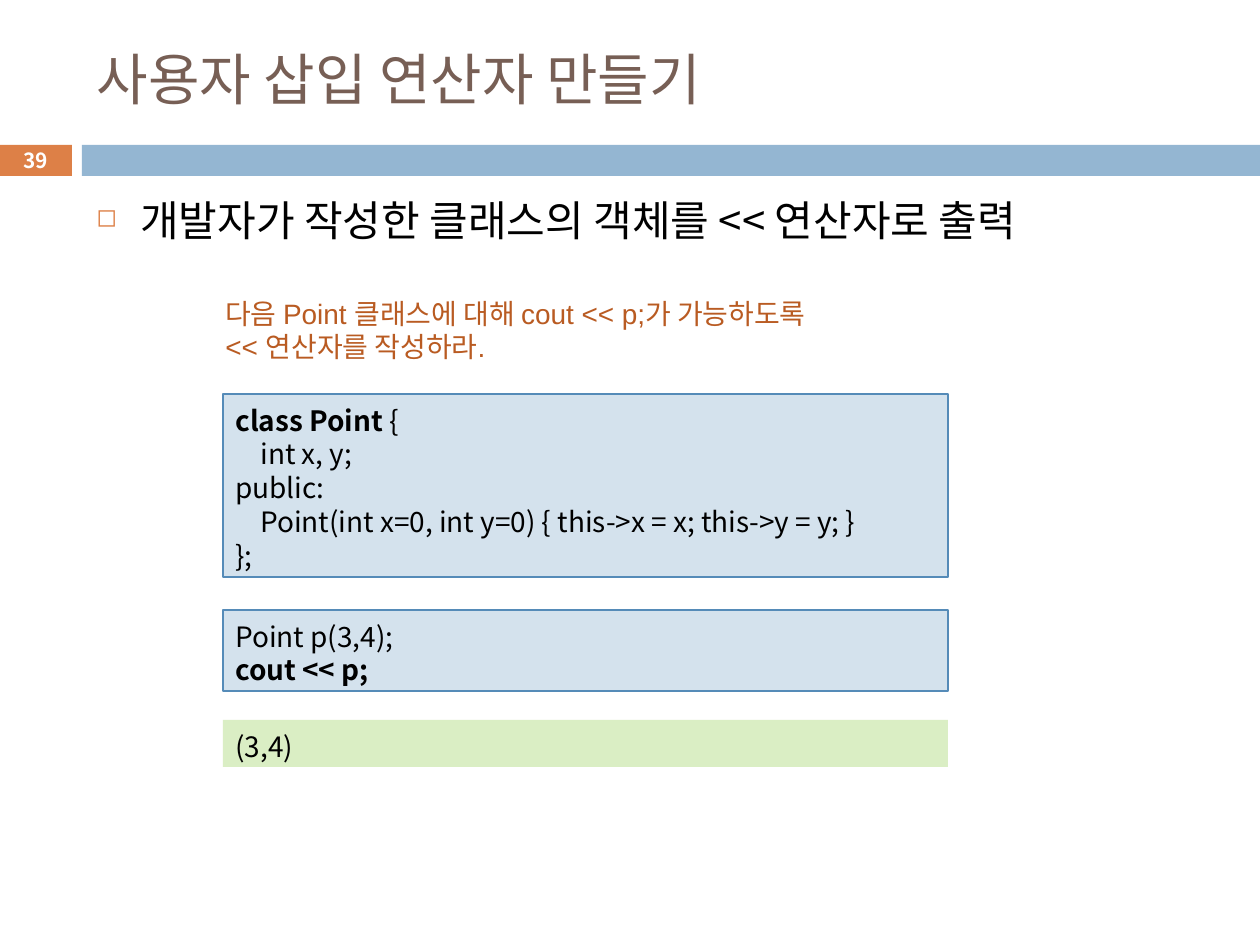
from dataclasses import dataclass

import pptx
import pptx.util
from lxml import etree
from pptx.dml.color import RGBColor
from pptx.enum.shapes import MSO_SHAPE
from pptx.enum.text import MSO_ANCHOR, MSO_AUTO_SIZE, PP_ALIGN
from pptx.oxml.ns import qn


@dataclass(frozen=True)
class Theme:
    korean: str = "Noto Sans CJK KR"
    latin: str = "Arial"
    title: str = "775F55"
    orange: str = "DD8047"
    blue: str = "94B6D2"
    black: str = "000000"
    white: str = "FFFFFF"
    task: str = "B95B22"
    code_fill: str = "D4E2ED"
    code_line: str = "558BB8"
    output_fill: str = "DAEEC4"
    title_pt: float = 32
    body_pt: float = 24
    text_pt: float = 16
    number_pt: float = 11.9
    leading: float = 1.205


@dataclass(frozen=True)
class Box:
    left: int
    top: int
    width: int
    height: int


@dataclass(frozen=True)
class Run:
    text: str
    bold: bool = False


@dataclass(frozen=True)
class Panel:
    top: int
    height: int
    fill: str
    line: str | None
    lines: list[list[Run]]


T = Theme()
PANEL_LEFT, PANEL_WIDTH = 223, 725
CODE_TAB = 25

PANELS = [
    Panel(394, 183, T.code_fill, T.code_line, [
        [Run("class Point ", True), Run("{")],
        [Run("\tint x, y;")],
        [Run("public:")],
        [Run("\tPoint(int x=0, int y=0) { this->x = x; this->y = y; }")],
        [Run("};")],
    ]),
    Panel(610, 81, T.code_fill, T.code_line, [
        [Run("Point p(3,4);")],
        [Run("cout << p;", True)],
    ]),
    Panel(720, 47, T.output_fill, None, [[Run("(3,4)")]]),
]

TASK = [
    [Run("다음 Point 클래스에 대해 cout << p;가 가능하도록")],
    [Run("<< 연산자를 작성하라.")],
]


def px(n: int) -> int:
    return round(n * 914400 / 126)


def place(sp, box: Box) -> None:
    sp.left, sp.top = px(box.left), px(box.top)
    sp.width, sp.height = px(box.width), px(box.height)


def add_rect(s, box: Box, fill: str, line: str | None = None):
    sp = s.shapes.add_shape(MSO_SHAPE.RECTANGLE, 0, 0, 0, 0)
    place(sp, box)
    sp.shadow.inherit = False
    sp.fill.solid()
    sp.fill.fore_color.rgb = RGBColor.from_string(fill)
    if line:
        sp.line.color.rgb = RGBColor.from_string(line)
        sp.line.width = pptx.util.Pt(0.75)
    else:
        sp.line.fill.background()
    return sp


def add_textbox(s, box: Box):
    sp = s.shapes.add_textbox(0, 0, 0, 0)
    place(sp, box)
    return sp


def add_tab(p, position: int) -> None:
    tabs = etree.SubElement(p._p.get_or_add_pPr(), qn("a:tabLst"))
    etree.SubElement(tabs, qn("a:tab"), pos=str(px(position)), algn="l")


def add_bullet(p, char: str, color: str, indent: int) -> None:
    pPr = p._p.get_or_add_pPr()
    pPr.set("marL", str(px(indent)))
    pPr.set("indent", str(-px(indent)))
    clr = etree.SubElement(pPr, qn("a:buClr"))
    etree.SubElement(clr, qn("a:srgbClr"), val=color)
    etree.SubElement(pPr, qn("a:buSzPct"), val="60000")
    etree.SubElement(pPr, qn("a:buChar"), char=char)


def write(sp, lines: list[list[Run]], size: float, color: str, font: str = T.korean,
          anchor=MSO_ANCHOR.TOP, align=PP_ALIGN.LEFT, top_inset: int = 6,
          leading: float | None = T.leading) -> None:
    tf = sp.text_frame
    tf.word_wrap = True
    tf.auto_size = MSO_AUTO_SIZE.NONE
    tf.vertical_anchor = anchor
    tf.margin_top = px(top_inset)
    for i, runs in enumerate(lines):
        p = tf.paragraphs[0] if i == 0 else tf.add_paragraph()
        p.alignment = align
        if leading:
            p.line_spacing = pptx.util.Pt(round(size * leading, 1))
        for run in runs:
            r = p.add_run()
            r.text = run.text
            r.font.name = font
            r.font.size = pptx.util.Pt(size)
            r.font.bold = run.bold
            r.font.color.rgb = RGBColor.from_string(color)
            etree.SubElement(r._r.get_or_add_rPr(), qn("a:ea"), typeface=T.korean)


def add_panel(s, panel: Panel) -> None:
    box = Box(PANEL_LEFT, panel.top, PANEL_WIDTH, panel.height)
    sp = add_rect(s, box, panel.fill, panel.line)
    write(sp, panel.lines, T.text_pt, T.black, top_inset=9)
    for p in sp.text_frame.paragraphs:
        add_tab(p, CODE_TAB)


def main() -> None:
    prs = pptx.Presentation()
    prs.slide_width, prs.slide_height = px(1260), px(945)
    s = prs.slides.add_slide(prs.slide_layouts[5])

    # Header band and slide number
    add_rect(s, Box(-1, 145, 73, 31), T.orange)
    add_rect(s, Box(82, 145, 1178, 31), T.blue)
    number = add_textbox(s, Box(-1, 143, 73, 34))
    write(number, [[Run("39", True)]], T.number_pt, T.white,
          anchor=MSO_ANCHOR.MIDDLE, align=PP_ALIGN.CENTER, leading=None)

    # Title
    title = s.shapes.title
    place(title, Box(84, 32, 1124, 93))
    write(title, [[Run("사용자 삽입 연산자 만들기")]], T.title_pt, T.title,
          anchor=MSO_ANCHOR.MIDDLE, leading=None)

    # Bulleted statement
    body = add_textbox(s, Box(84, 185, 1124, 694))
    write(body, [[Run("개발자가 작성한 클래스의 객체를 << 연산자로 출력")]],
          T.body_pt, T.black, top_inset=9)
    add_bullet(body.text_frame.paragraphs[0], "◻", T.orange, 44)

    # Task, code and output
    task = add_textbox(s, Box(213, 289, 784, 81))
    write(task, TASK, T.text_pt, T.task, font=T.latin, top_inset=7)
    for panel in PANELS:
        add_panel(s, panel)

    prs.save("out.pptx")


if __name__ == "__main__":
    main()
